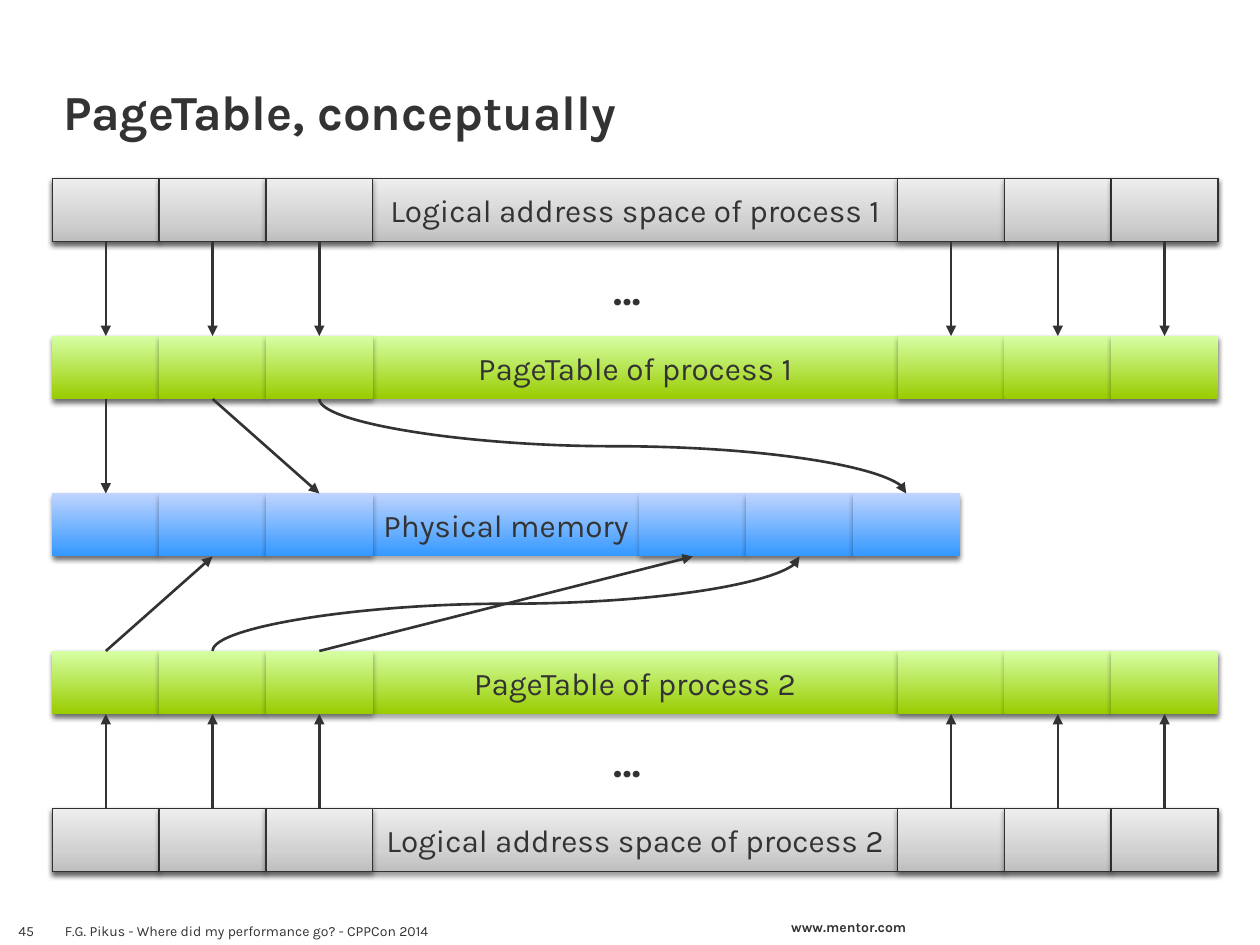
from dataclasses import dataclass

from lxml.etree import SubElement
from pptx import Presentation
from pptx.dml.color import RGBColor as Rgb
from pptx.enum.shapes import MSO_CONNECTOR as Link, MSO_SHAPE as Form
from pptx.enum.text import MSO_ANCHOR as Anchor, PP_ALIGN as Align
from pptx.oxml import parse_xml
from pptx.oxml.ns import nsdecls, qn
from pptx.util import Pt


@dataclass(frozen=True)
class Theme:
    font: str = "Karla"
    ink: str = "333333"
    edge: str = "323232"
    gray: tuple = ((0, "BFBFBF"), (35, "D2D2D2"), (100, "EEEEEE"))
    green: tuple = ((0, "99CC00"), (100, "D6FFA5"))
    blue: tuple = ((0, "3398FF"), (100, "BFD4FF"))
    title: int = 28
    dots: int = 24
    label: int = 18
    small: int = 8


LEFT, WIDE, SHORT = 30, 666, 518.4
CELL, HIGH = 61, 36
TOP, STEP = 102, 90


def cells(wide):
    """Left edges of the three first and three last pages of a bar."""
    end = LEFT + wide
    return [LEFT + i * CELL for i in range(3)] + [end - i * CELL for i in (3, 2, 1)]


def mids(wide):
    return [x + CELL / 2 for x in cells(wide)]


class Deck:
    def __init__(self, theme):
        self.theme = theme
        self.deck = Presentation()
        self.deck.slide_width, self.deck.slide_height = Pt(720), Pt(540)
        self.slide = self.deck.slides.add_slide(self.deck.slide_layouts[5])

    def fill_text(self, shape, text, size, bold=False, align=Align.LEFT, **frame):
        box = shape.text_frame
        for name, value in frame.items():
            setattr(box, name, value)
        box.text = text
        para = box.paragraphs[0]
        para.alignment = align
        style = {"name": self.theme.font, "size": Pt(size), "bold": bold}
        font = para.runs[0].font
        for name, value in style.items():
            setattr(font, name, value)
        font.color.rgb = Rgb.from_string(self.theme.ink)

    def title(self, text):
        shape = self.slide.shapes.title
        place = {"left": 0, "top": 0, "width": Pt(720), "height": Pt(84)}
        for name, value in place.items():
            setattr(shape, name, value)
        self.fill_text(shape, text, self.theme.title, True,
                       vertical_anchor=Anchor.BOTTOM, word_wrap=True,
                       margin_left=Pt(36), margin_right=Pt(36))

    def text(self, text, at, size, bold=False, align=Align.LEFT, **frame):
        box = self.slide.shapes.add_textbox(*map(Pt, at))
        self.fill_text(box, text, size, bold, align, **{"word_wrap": True, **frame})

    def block(self, group, at, stops, edge):
        """Add a gradient box with a soft shadow; edge adds an outline."""
        shape = group.shapes.add_shape(Form.RECTANGLE, *map(Pt, at))
        if edge:
            shape.line.color.rgb = Rgb.from_string(self.theme.edge)
            shape.line.width = Pt(0.75)
        else:
            shape.line.fill.background()
        shape.shadow.inherit = False
        props = shape._element.spPr
        marks = "".join(f'<a:gs pos="{pos * 1000}"><a:srgbClr val="{color}"/></a:gs>'
                        for pos, color in stops)
        props.find(qn("a:ln")).addprevious(parse_xml(
            f'<a:gradFill {nsdecls("a")} rotWithShape="1"><a:gsLst>{marks}</a:gsLst>'
            '<a:lin ang="16200000" scaled="0"/></a:gradFill>'))
        far, alpha = (1.6, 38) if edge else (1.8, 35)
        props.find(qn("a:effectLst")).append(parse_xml(
            f'<a:outerShdw {nsdecls("a")} blurRad="{Pt(3.1)}" dist="{Pt(far)}" '
            'dir="5400000" rotWithShape="0"><a:srgbClr val="000000">'
            f'<a:alpha val="{alpha * 1000}"/></a:srgbClr></a:outerShdw>'))
        return shape

    def bar(self, text, top, wide, stops, edge=False):
        """Add a labelled bar with pages marked at both of its ends."""
        group = self.slide.shapes.add_group_shape()
        base = self.block(group, (LEFT, top, wide, HIGH), stops, edge)
        self.fill_text(base, text, self.theme.label, align=Align.CENTER,
                       vertical_anchor=Anchor.MIDDLE, word_wrap=True)
        for x in cells(wide):
            self.block(group, (x, top, CELL, HIGH), stops, edge)

    def arrow(self, x1, y1, x2, y2, kind=Link.STRAIGHT):
        line = self.slide.shapes.add_connector(kind, *map(Pt, (x1, y1, x2, y2)))
        line.line.color.rgb = Rgb.from_string(self.theme.ink)
        line.line.width = Pt(1.5)
        props = line._element.spPr
        SubElement(props.find(qn("a:ln")), qn("a:tailEnd"), type="triangle")
        SubElement(props, qn("a:effectLst"))
        return line

    def curve(self, x1, y1, x2, y2):
        """Add a rightward curve that leaves and arrives upright.

        The frame is a quarter turn off, so its sides are swapped.
        """
        x, y = (x1 + x2) / 2, (y1 + y2) / 2
        w, h = abs(y2 - y1) / 2, (x2 - x1) / 2
        turn = 270
        if y2 < y1:
            h, turn = -h, 90
        line = self.arrow(x + w, y - h, x - w, y + h, Link.CURVE)
        line._element.spPr.find(qn("a:xfrm")).set("rot", str(turn * 60000))


def main():
    theme = Theme()
    deck = Deck(theme)
    deck.title("PageTable, conceptually")
    deck.text("www.mentor.com", (445, 521.3, 113.8, 16.6), theme.small, True,
              margin_right=Pt(18))
    deck.text("F.G. Pikus - Where did my performance go? - CPPCon 2014",
              (30, 522, 410.4, 18), theme.small, vertical_anchor=Anchor.BOTTOM)
    deck.text("45", (0, 522, 30, 18), theme.small, align=Align.CENTER,
              vertical_anchor=Anchor.BOTTOM)

    bars = (
        ("Logical address space of process 1", WIDE, theme.gray, True),
        ("PageTable of process 1", WIDE, theme.green),
        ("Physical memory", SHORT, theme.blue),
        ("PageTable of process 2", WIDE, theme.green),
        ("Logical address space of process 2", WIDE, theme.gray, True),
    )
    tops = [TOP + i * STEP for i in range(len(bars))]
    ends = [top + HIGH for top in tops]
    for top, (text, *look) in zip(tops, bars):
        deck.bar(text, top, *look)

    pages, frames = mids(WIDE), mids(SHORT)
    for start, stop in ((ends[0], tops[1]), (tops[4], ends[3])):
        for x in pages:
            deck.arrow(x, start, x, stop)
    for top in (147, 417):
        deck.text("…", (343.4, top, 38.9, 36), theme.dots, True, word_wrap=False)

    first, second = (ends[1], tops[2]), (tops[3], ends[2])
    maps = (
        (deck.arrow, first, 0, 0), (deck.arrow, first, 1, 2),
        (deck.curve, first, 2, 5), (deck.arrow, second, 0, 1),
        (deck.curve, second, 1, 4), (deck.arrow, second, 2, 3),
    )
    for draw, (start, stop), page, frame in maps:
        draw(pages[page], start, frames[frame], stop)
    deck.deck.save("out.pptx")


if __name__ == "__main__":
    main()
